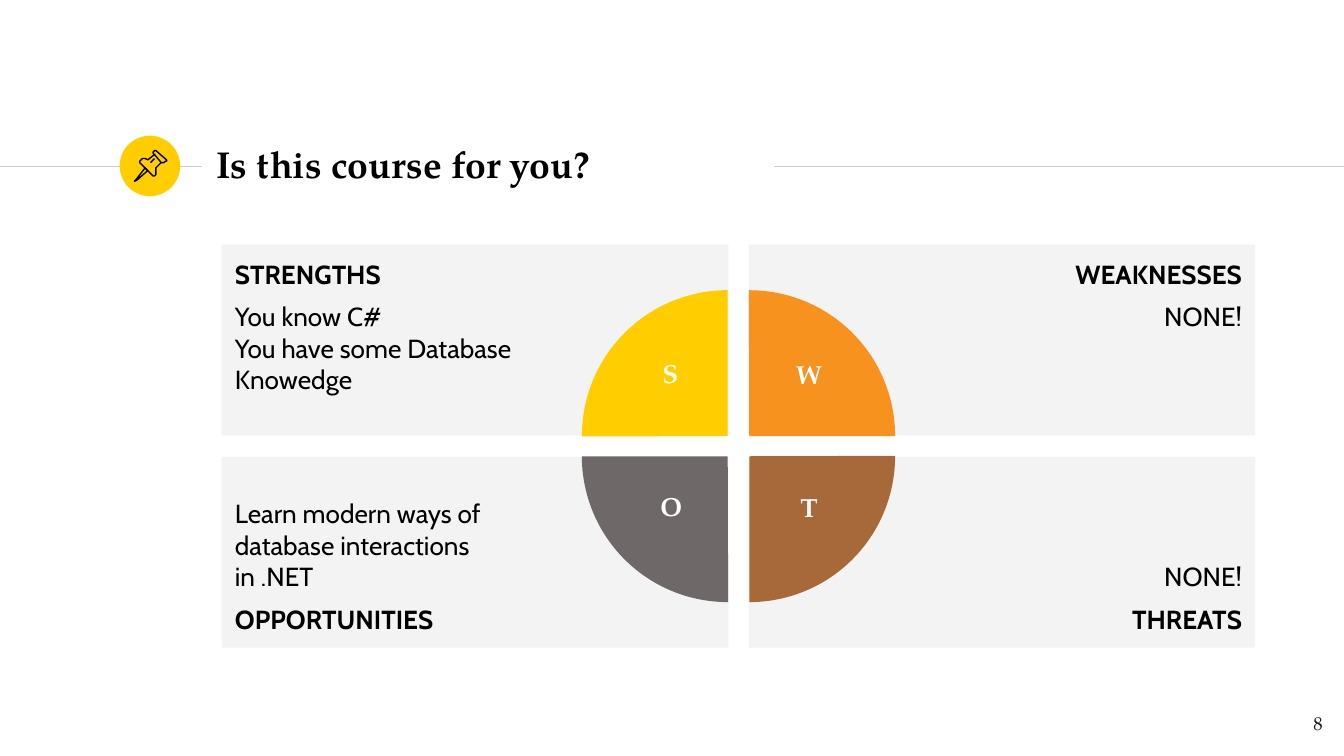
from dataclasses import dataclass
from lxml import etree
from pptx import Presentation
from pptx import util as u
from pptx.dml.color import RGBColor
from pptx.enum import shapes, text


@dataclass
class Theme:
    serif: str = "TeX Gyre Pagella"
    sans: str = "Cabin"
    black: str = "000000"
    white: str = "FFFFFF"
    ink: str = "1D1D1B"
    rule: str = "CCCCCC"
    panel: str = "F3F3F3"
    yellow: str = "FFCD00"
    orange: str = "F6921D"
    brown: str = "A7693A"
    gray: str = "6F6868"
    head: int = 20
    body: int = 14
    small: int = 10


theme = Theme()
inch = u.Inches
color = RGBColor.from_string
left, right, center = (text.PP_ALIGN.LEFT, text.PP_ALIGN.RIGHT,
                       text.PP_ALIGN.CENTER)


def write(para, words, face, size, tint, bold=False, align=left):
    """Add one run for each line of words."""
    para.alignment = align
    for i, line in enumerate(words.split("\n")):
        if i:
            para.add_line_break()
        run = para.add_run()
        run.text = line
        run.font.name = face
        run.font.size = u.Pt(size)
        run.font.bold = bold
        run.font.color.rgb = color(tint)


def draw(kind, x, y, w, h, fill):
    """Add a flat shape without outline."""
    shape = slide.shapes.add_shape(kind, inch(x), inch(y), inch(w), inch(h))
    shape.shadow.inherit = False
    shape.fill.solid()
    shape.fill.fore_color.rgb = color(fill)
    shape.line.fill.background()
    return shape


# Widescreen page, 16 to 9
deck = Presentation()
deck.slide_width = inch(10)
deck.slide_height = inch(10 * 9 / 16)
slide = deck.slides.add_slide(deck.slide_layouts[5])

# Rules beside the title, and the round badge
for start, end in ((0, 1.5), (5.76, 10)):
    rule = slide.shapes.add_connector(
        shapes.MSO_CONNECTOR.STRAIGHT,
        inch(start), inch(1.24), inch(end), inch(1.24))
    rule.line.color.rgb = color(theme.rule)
    rule.line.width = u.Pt(0.75)
    etree.SubElement(
        rule.element.spPr,
        "{http://schemas.openxmlformats.org/drawingml/2006/main}effectLst")
draw(shapes.MSO_SHAPE.OVAL, 0.89, 1.01, 0.45, 0.45, theme.yellow)

# Title
title = slide.shapes.title
title.left, title.top = inch(1.51), inch(0.98)
title.width, title.height = inch(4.24), inch(0.48)
frame = title.text_frame
frame.auto_size = text.MSO_AUTO_SIZE.NONE
frame.vertical_anchor = text.MSO_ANCHOR.MIDDLE
frame.margin_left = frame.margin_right = inch(0.1)
frame.margin_top = frame.margin_bottom = inch(0.1)
write(frame.paragraphs[0], "Is this course for you?", theme.serif,
      theme.head, theme.black, True)

# Four panels: column, row, lines of (words, bold)
panels = (
    (0, 0, (("STRENGTHS", True),
            ("You know C#\nYou have some Database Knowedge", False))),
    (1, 0, (("WEAKNESSES", True), ("NONE!", False))),
    (0, 1, (("Learn modern ways of database interactions in .NET", False),
            ("OPPORTUNITIES", True))),
    (1, 1, (("NONE!", False), ("THREATS", True))),
)
for col, row, lines in panels:
    panel = draw(shapes.MSO_SHAPE.RECTANGLE, 1.65 + 3.92 * col,
                 1.82 + 1.58 * row, 3.77, 1.42, theme.panel)
    frame = panel.text_frame
    frame.word_wrap = True
    frame.vertical_anchor = (text.MSO_ANCHOR.BOTTOM if row
                             else text.MSO_ANCHOR.TOP)
    frame.margin_left = inch(1.5 if col else 0.1)
    frame.margin_right = inch(0.1 if col else 1.5)
    frame.margin_top = frame.margin_bottom = inch(0.1)
    for i, (words, bold) in enumerate(lines):
        para = frame.add_paragraph() if i else frame.paragraphs[0]
        if i:
            para.space_before = para.space_after = u.Pt(6)
        write(para, words, theme.sans, theme.body, theme.black, bold,
              right if col else left)

# Quarter circles, clockwise from the top left
wheel = ((4.33, 2.16, theme.yellow), (4.49, 2.16, theme.orange),
         (4.49, 2.31, theme.brown), (4.33, 2.31, theme.gray))
for turn, (x, y, fill) in enumerate(wheel):
    piece = draw(shapes.MSO_SHAPE.PIE, x, y, 2.17, 2.17, fill)
    piece.adjustments[0] = 107.89  # about 180 degrees
    piece.adjustments[1] = 162  # 270 degrees
    piece.rotation = 90 * turn

# Letters on the wheel
labels = (
    ("S", 4.83, 2.61, 0.29, 0.41), ("W", 5.74, 2.62, 0.56, 0.39),
    ("O", 4.8, 3.6, 0.39, 0.41), ("T", 5.85, 3.61, 0.34, 0.39),
)
for words, x, y, w, h in labels:
    box = slide.shapes.add_textbox(inch(x), inch(y), inch(w), inch(h))
    box.text_frame.word_wrap = True
    write(box.text_frame.paragraphs[0], words, theme.serif, theme.body,
          theme.white, True, center)

# Page number
page = slide.shapes.add_textbox(inch(9.34), inch(5.21), inch(0.6), inch(0.41))
frame = page.text_frame
frame.word_wrap = True
frame.margin_left = frame.margin_right = inch(0.1)
frame.margin_top = frame.margin_bottom = inch(0.1)
write(frame.paragraphs[0], "8", theme.serif, theme.small, theme.ink,
      align=right)

# Pin icon: points in hundredths of an inch, and whether the path closes
strokes = (
    (((108, 125), (101, 134), (100, 135), (102, 134), (110, 127)), True),
    (((115, 115), (120, 121), (122, 121), (123, 120.5), (124, 120),
      (124, 119), (116, 112), (115, 112), (114, 113), (114, 114)), True),
    (((115, 115), (110, 119), (108, 118.5), (106, 118.5), (104, 120),
      (104, 121), (114, 131), (115, 131), (116, 130), (116.5, 128),
      (116, 125), (120, 121)), False),
    (((112, 121), (115, 118)), False),
)
for points, close in strokes:
    path = slide.shapes.build_freeform(*points[0], scale=inch(0.01))
    path.add_line_segments(points[1:], close=close)
    pin = path.convert_to_shape()
    pin.shadow.inherit = False
    pin.fill.background()
    pin.line.color.rgb = color(theme.black)
    pin.line.width = u.Pt(0.75)

deck.save("out.pptx")
